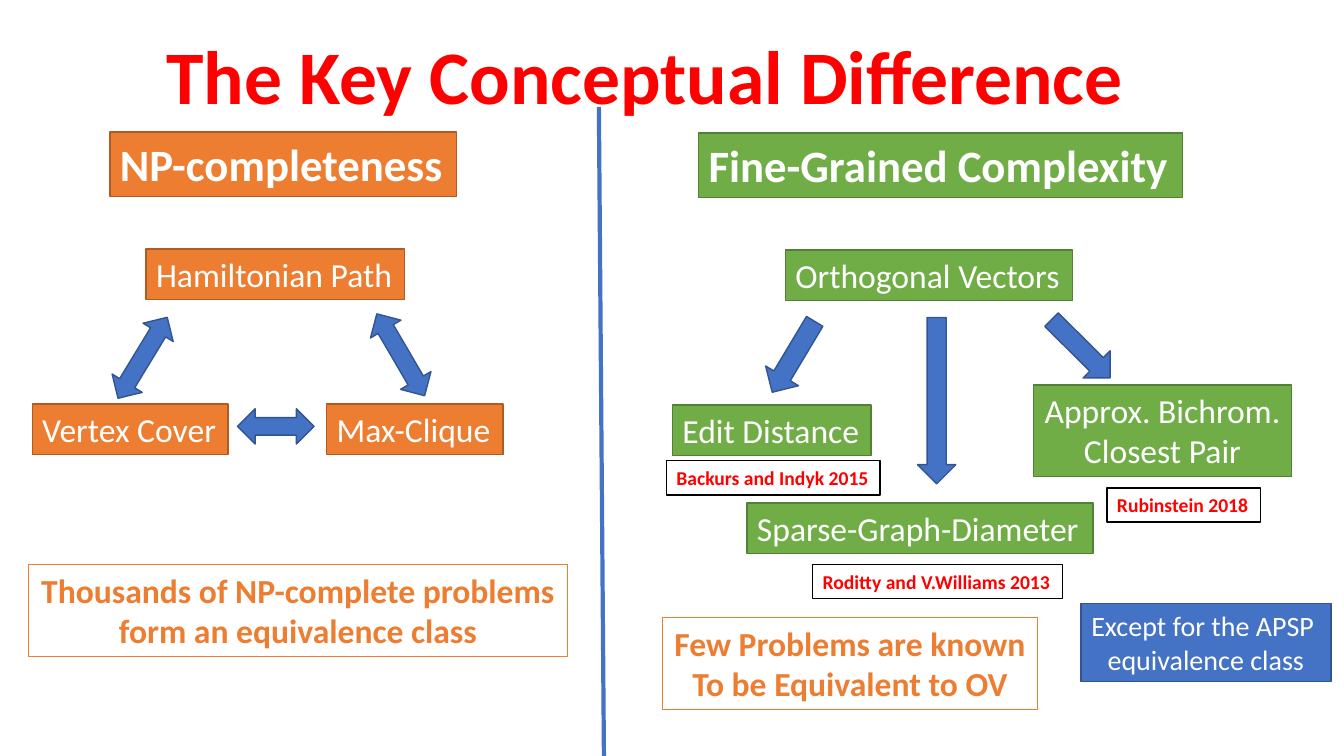
from lxml import etree
from pptx import Presentation
from pptx.dml.color import RGBColor
from pptx.enum import shapes, text
from pptx.oxml.ns import qn
from pptx.util import Inches, Pt

RED = RGBColor(0xFF, 0x00, 0x00)
WHITE = RGBColor(0xFF, 0xFF, 0xFF)
BLACK = RGBColor(0x00, 0x00, 0x00)
ORANGE = RGBColor(0xED, 0x7D, 0x31)
DARK_ORANGE = RGBColor(0xAF, 0x5C, 0x24)
GREEN = RGBColor(0x70, 0xAD, 0x47)
DARK_GREEN = RGBColor(0x53, 0x80, 0x35)
BLUE = RGBColor(0x44, 0x72, 0xC4)
DARK_BLUE = RGBColor(0x32, 0x54, 0x91)

SHAPE = shapes.MSO_SHAPE
CENTER = text.PP_ALIGN.CENTER

# Box styles: fill, line and text format
NP = dict(fill=ORANGE, line=DARK_ORANGE)
FINE = dict(fill=GREEN, line=DARK_GREEN)
HEADING = dict(size=32, bold=True)
CITATION = dict(fill=WHITE, line=BLACK, size=14, color=RED, bold=True)
SUMMARY = dict(fill=None, line=ORANGE, line_width=0.75, color=ORANGE, bold=True, align=CENTER)


def write_text(tf, content, size=24, color=WHITE, bold=False, align=text.PP_ALIGN.LEFT):
    for i, line in enumerate(content.split("\n")):
        p = tf.paragraphs[0] if i == 0 else tf.add_paragraph()
        p.alignment = align
        r = p.add_run()
        r.text = line
        r.font.name = "Calibri"
        r.font.size = Pt(size)
        r.font.bold = bold
        r.font.color.rgb = color


def add_preset(slide, kind, at, fill, line, line_width=1):
    sp = slide.shapes.add_shape(kind, *map(Inches, at))
    sp.shadow.inherit = False
    if fill is None:
        sp.fill.background()
    else:
        sp.fill.solid()
        sp.fill.fore_color.rgb = fill
    sp.line.color.rgb = line
    sp.line.width = Pt(line_width)
    return sp


def add_box(slide, content, at, fill, line, line_width=1, wrap=False, **fmt):
    sp = add_preset(slide, SHAPE.RECTANGLE, at, fill, line, line_width)
    tf = sp.text_frame
    tf.word_wrap = wrap
    tf.auto_size = text.MSO_AUTO_SIZE.SHAPE_TO_FIT_TEXT
    tf.vertical_anchor = text.MSO_ANCHOR.TOP
    write_text(tf, content, **fmt)


def add_arrow(slide, kind, at, rotation=0, adjustments=(0.5, 0.5)):
    sp = add_preset(slide, kind, at, BLUE, DARK_BLUE)
    sp.rotation = rotation
    for i, value in enumerate(adjustments):
        sp.adjustments[i] = value


def add_title(slide, content):
    title = slide.shapes.title
    title.left, title.top, title.width, title.height = map(Inches, (0.58, 0.2, 11.63, 1.05))
    tf = title.text_frame
    tf.word_wrap = True
    tf.auto_size = text.MSO_AUTO_SIZE.NONE
    tf.vertical_anchor = text.MSO_ANCHOR.BOTTOM
    write_text(tf, content, size=54, color=RED, bold=True, align=CENTER)
    tf.paragraphs[0].line_spacing = 0.9


def add_divider(slide):
    line = slide.shapes.add_connector(
        shapes.MSO_CONNECTOR.STRAIGHT, Inches(5.94), Inches(1.06), Inches(5.99), Inches(7.5))
    line.line.color.rgb = BLUE
    line.line.width = Pt(3)
    etree.SubElement(line._element.spPr, qn("a:effectLst"))


def add_np_side(slide):
    add_box(slide, "NP-completeness", (1.09, 1.31, 3.44, 0.64), **NP, **HEADING)
    for name, at in (
        ("Hamiltonian Path", (1.45, 2.47, 2.56, 0.5)),
        ("Vertex Cover", (0.32, 4.01, 1.94, 0.5)),
        ("Max-Clique", (3.24, 4.01, 1.75, 0.5)),
    ):
        add_box(slide, name, at, **NP)

    # Reductions in both directions
    for at, rotation in (
        ((1.24, 3.08, 0.35, 0.94), 31.3),
        ((3.8, 3.05, 0.35, 0.94), 329.7),
        ((2.56, 3.85, 0.35, 0.76), 90),
    ):
        add_arrow(slide, SHAPE.UP_DOWN_ARROW, at, rotation, (0.435, 0.5))

    add_box(slide, "Thousands of NP-complete problems\nform an equivalence class",
            (0.28, 5.6, 5.35, 0.91), **SUMMARY)


def add_fine_grained_side(slide):
    add_box(slide, "Fine-Grained Complexity", (6.93, 1.32, 4.8, 0.64), **FINE, **HEADING)
    for name, at in (
        ("Orthogonal Vectors", (7.79, 2.48, 2.85, 0.5)),
        ("Edit Distance", (6.67, 4.02, 1.97, 0.5)),
        ("Sparse-Graph-Diameter", (7.41, 4.99, 3.43, 0.5)),
    ):
        add_box(slide, name, at, **FINE)
    add_box(slide, "Approx. Bichrom.\nClosest Pair", (10.25, 3.82, 2.56, 0.91),
            align=CENTER, **FINE)

    # Reductions in one direction
    for at, rotation in (
        ((7.68, 3.13, 0.38, 0.82), 30.9),
        ((10.53, 3.05, 0.38, 0.82), 314.8),
        ((9.1, 3.15, 0.38, 1.65), 0),
    ):
        add_arrow(slide, SHAPE.DOWN_ARROW, at, rotation)

    # Citations
    for name, at in (
        ("Rubinstein 2018", (10.98, 4.84, 1.52, 0.34)),
        ("Backurs and Indyk 2015", (6.61, 4.57, 2.12, 0.34)),
        ("Roditty and V.Williams 2013", (8.06, 5.6, 2.48, 0.34)),
    ):
        add_box(slide, name, at, **CITATION)

    add_box(slide, "Except for the APSP \nequivalence class", (10.72, 5.99, 2.48, 0.77),
            fill=BLUE, line=DARK_BLUE, wrap=True, size=20, align=CENTER)
    add_box(slide, "Few Problems are known\nTo be Equivalent to OV",
            (6.57, 6.13, 3.72, 0.91), **SUMMARY)


def main():
    prs = Presentation()
    prs.slide_width, prs.slide_height = Inches(13.33), Inches(7.5)
    slide = prs.slides.add_slide(prs.slide_layouts[5])
    add_title(slide, "The Key Conceptual Difference")
    add_np_side(slide)
    add_fine_grained_side(slide)
    add_divider(slide)
    prs.save("out.pptx")


if __name__ == "__main__":
    main()
